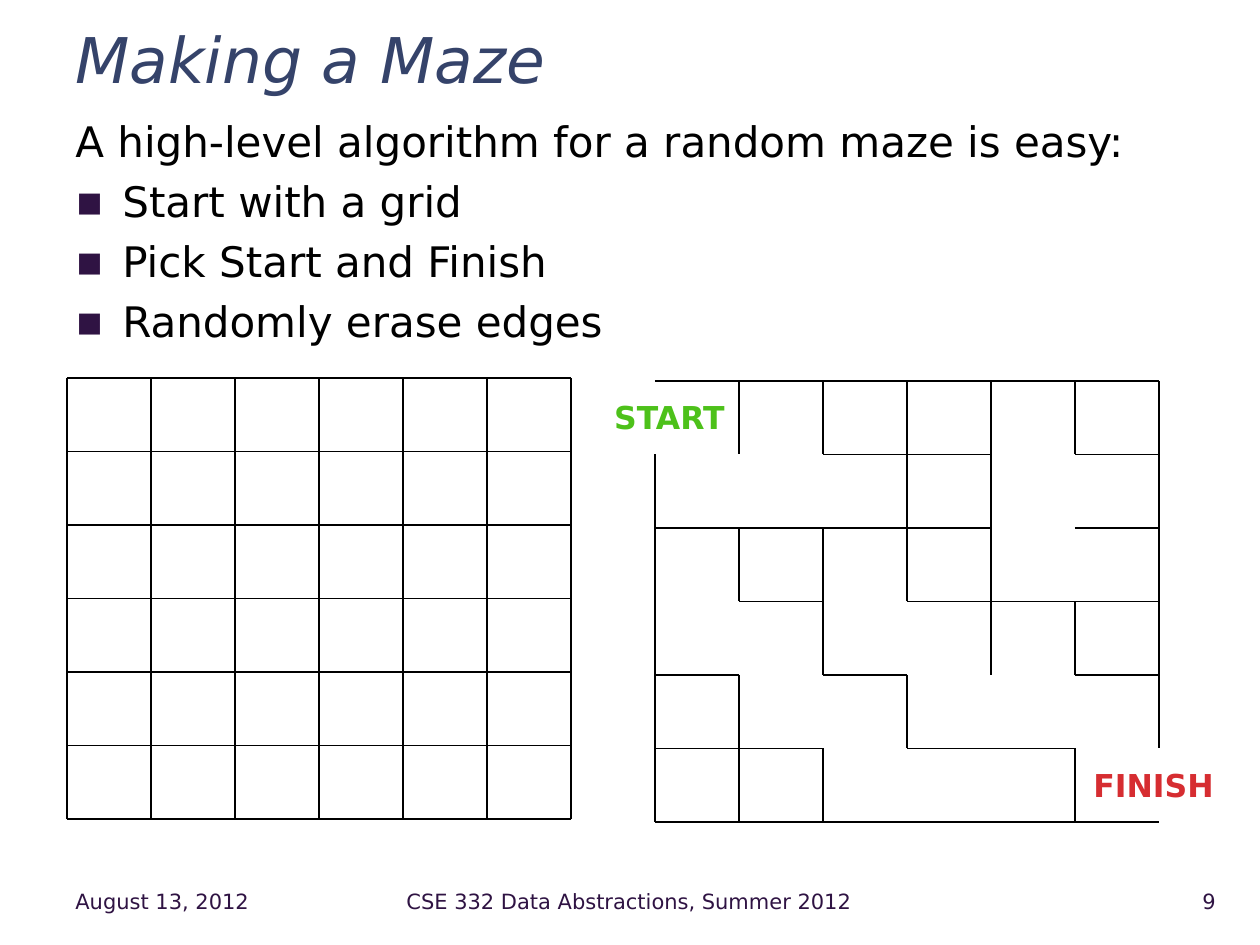
from lxml import etree
from pptx import Presentation
from pptx.dml.color import RGBColor
from pptx.enum.shapes import MSO_CONNECTOR
from pptx.enum.text import MSO_ANCHOR, PP_ALIGN
from pptx.oxml.ns import qn
from pptx.util import Emu, Pt

LINE = MSO_CONNECTOR.STRAIGHT
TOP, MIDDLE = MSO_ANCHOR.TOP, MSO_ANCHOR.MIDDLE
LEFT, CENTER, RIGHT = PP_ALIGN.LEFT, PP_ALIGN.CENTER, PP_ALIGN.RIGHT

BLACK = RGBColor(0x00, 0x00, 0x00)
NAVY = RGBColor(0x35, 0x43, 0x6A)
PURPLE = RGBColor(0x2F, 0x13, 0x43)
GREEN = RGBColor(0x4D, 0xC1, 0x1A)
RED = RGBColor(0xD6, 0x2D, 0x31)

FONT = "DejaVu Sans"
PX_PER_INCH = 126
CELLS = 6
GRID_W, GRID_H = 504, 441
FULL_GRID = ["######"] * CELLS
MAZE = ["######", "..##.#", "####.#", ".#.###", "#.#..#", "##..#."]


def px(n):
    """Convert pixels to EMU."""
    return Emu(round(n * 914400 / PX_PER_INCH))


def add_text(shapes, box, lines, size, color, align=LEFT, anchor=MIDDLE,
             wrap=True, bold=False, italic=False):
    """Add a text box with one paragraph per line and return its paragraphs."""
    tf = shapes.add_textbox(*map(px, box)).text_frame
    tf.word_wrap = wrap
    tf.vertical_anchor = anchor
    tf.text = "\n".join(lines)
    for p in tf.paragraphs:
        p.alignment = align
        for r in p.runs:
            r.font.name, r.font.size = FONT, Pt(size)
            r.font.bold, r.font.italic = bold, italic
            r.font.color.rgb = color
    return tf.paragraphs


def add_bullet(p, indent):
    """Give a paragraph a small square bullet and a hanging indent."""
    p.space_before = Pt(5.6)
    pPr = p._p.get_or_add_pPr()
    pPr.set("marL", str(px(indent)))
    pPr.set("indent", str(-px(indent)))
    clr = etree.SubElement(pPr, qn("a:buClr"))
    etree.SubElement(clr, qn("a:srgbClr"), val=str(PURPLE))
    etree.SubElement(pPr, qn("a:buFont"), typeface=FONT)
    etree.SubElement(pPr, qn("a:buChar"), char="▪")


def add_wall(shapes, origin, start, end):
    """Draw a wall between two (column, row) grid corners."""
    x, y = origin
    points = [px(n) for col, row in (start, end)
              for n in (x + col * GRID_W / CELLS, y + row * GRID_H / CELLS)]
    s = shapes.add_connector(LINE, *points)
    s.line.color.rgb = BLACK
    s.line.width = Pt(0.75)
    etree.SubElement(s._element.spPr, qn("a:effectLst"))


def add_grid(slide, origin, rows, extra_walls):
    """Draw the top and right wall of each marked cell, plus extra walls."""
    shapes = slide.shapes.add_group_shape().shapes
    for j, row in enumerate(rows):
        for i, cell in enumerate(row):
            if cell == "#":
                add_wall(shapes, origin, (i, j), (i + 1, j))
                add_wall(shapes, origin, (i + 1, j), (i + 1, j + 1))
    for start, end in extra_walls:
        add_wall(shapes, origin, start, end)
    return shapes


def main():
    """Build the maze slide."""
    prs = Presentation()
    prs.slide_width, prs.slide_height = px(1260), px(945)
    slide = prs.slides.add_slide(prs.slide_layouts[6])
    shapes = slide.shapes

    title = add_text(shapes, (63, 21, 1166, 67), ["Making a Maze"], 36, NAVY,
                     italic=True)
    title[0].line_spacing = 1.1
    body = add_text(shapes, (63, 109, 1166, 752),
                    ["A high-level algorithm for a random maze is easy:",
                     "Start with a grid", "Pick Start and Finish",
                     "Randomly erase edges"], 24, BLACK, anchor=TOP)
    for p in body[1:]:
        add_bullet(p, 47)

    bottom = ((6, 6), (0, 6))
    add_grid(slide, (67, 378), FULL_GRID, [bottom, ((0, 6), (0, 0))])
    maze = add_grid(slide, (655, 381), MAZE,
                    [bottom, ((0, 6), (0, 1)), ((4, 5), (3, 5))])
    for box, word, color in (((599, 392, 141, 50), "START", GREEN),
                             ((1075, 760, 157, 50), "FINISH", RED)):
        add_text(maze, box, [word], 18, color, CENTER, wrap=False, bold=True)

    for left, width, text, align in (
            (63, 220, "August 13, 2012", LEFT),
            (292, 674, "CSE 332 Data Abstractions, Summer 2012", CENTER),
            (1120, 108, "9", RIGHT)):
        add_text(shapes, (left, 876, width, 50), [text], 12, PURPLE, align)

    prs.save("out.pptx")


if __name__ == "__main__":
    main()
